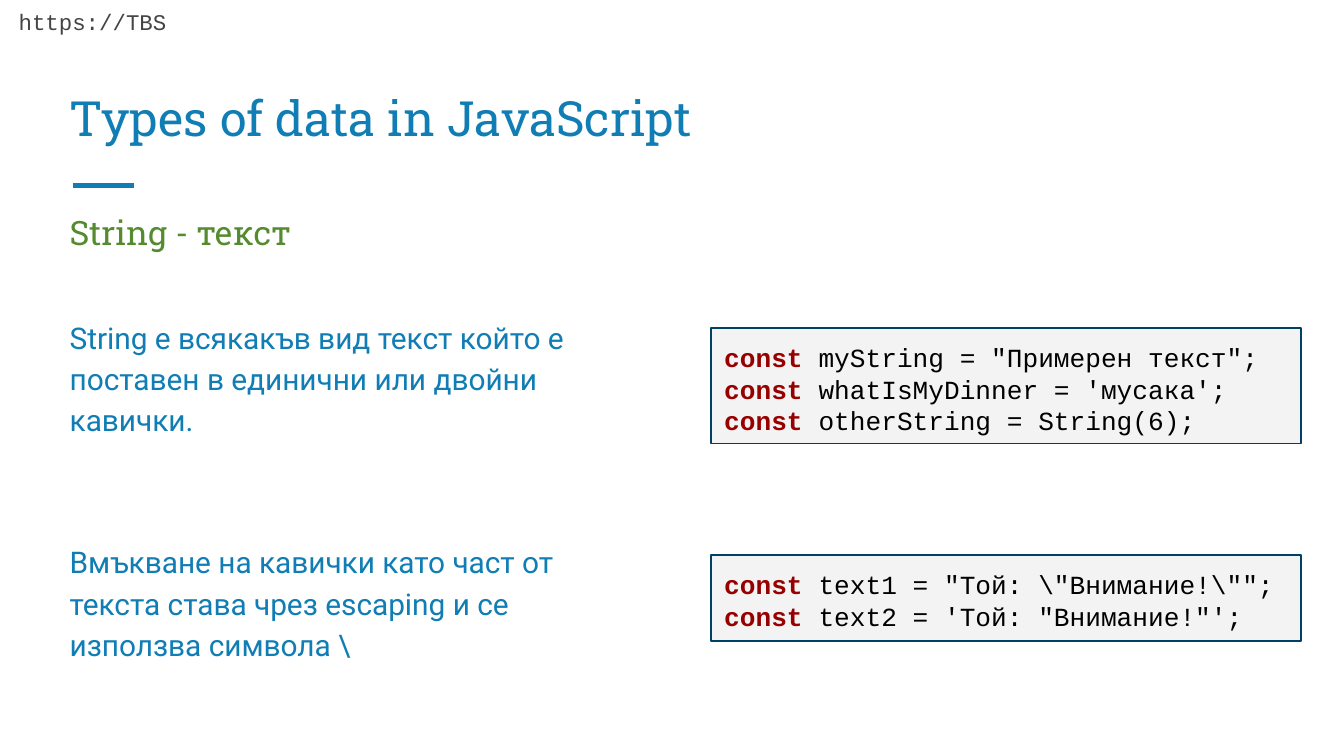
import pptx
import pptx.util
import pptx.dml.color
import pptx.enum.shapes
import pptx.enum.text
import pptx.oxml.ns
import lxml.etree

Inches = pptx.util.Inches
Pt = pptx.util.Pt
RGBColor = pptx.dml.color.RGBColor
Anchor = pptx.enum.text.MSO_ANCHOR

BLUE = RGBColor(0x10, 0x7D, 0xB4)
GREEN = RGBColor(0x55, 0x8B, 0x2F)
GREY = RGBColor(0x44, 0x44, 0x44)
PALE = RGBColor(0xF3, 0xF3, 0xF3)
NAVY = RGBColor(0x00, 0x40, 0x65)
RED = RGBColor(0x98, 0x00, 0x00)
BLACK = RGBColor(0, 0, 0)

FRAME = {
    "word_wrap": True,
    "margin_left": Inches(0.1),
    "margin_right": Inches(0.1),
    "margin_top": Inches(0.1),
    "margin_bottom": Inches(0.1),
}


def put(item, form):
    for key, value in form.items():
        setattr(item, key, value)


def write(para, text, color, form):
    run = para.add_run()
    run.text = text
    put(run.font, form)
    run.font.color.rgb = color


deck = pptx.Presentation()
put(deck, {"slide_width": Inches(10), "slide_height": Inches(10 * 9 / 16)})
slide = deck.slides.add_slide(deck.slide_layouts[6])

rule = slide.shapes.add_connector(
    pptx.enum.shapes.MSO_CONNECTOR.STRAIGHT,
    Inches(0.54), Inches(1.38), Inches(1), Inches(1.38))
rule.line.color.rgb = BLUE
rule.line.width = Pt(3)
lxml.etree.SubElement(rule._element.spPr, pptx.oxml.ns.qn("a:effectLst"))

texts = [
    ((0.04, -0.04, 3.04, 0.38), "Courier New", 12, GREY, Anchor.TOP, {},
     ["https://TBS"]),
    ((0.42, 0.44, 9.15, 0.75), "Roboto Slab", 26, BLUE, Anchor.BOTTOM, {},
     ["Types of data in JavaScript"]),
    ((0.42, 1.48, 9.15, 0.5), "Roboto Slab", 18, GREEN, Anchor.TOP, {},
     ["String - текст"]),
    ((0.42, 2.24, 4.39, 2.94), "Roboto", 16, BLUE, Anchor.TOP,
     {"line_spacing": 1.15},
     ["String e всякакъв вид текст който е поставен в единични или двойни кавички.",
      "Вмъкване на кавички като част от текста става чрез escaping и се използва символа \\"]),
]
for place, face, size, color, anchor, form, lines in texts:
    frame = slide.shapes.add_textbox(*map(Inches, place)).text_frame
    put(frame, FRAME)
    frame.vertical_anchor = anchor
    for i, line in enumerate(lines):
        para = frame.add_paragraph() if i else frame.paragraphs[0]
        put(para, form)
        if i:
            para.space_before = Pt(54)
        write(para, line, color, {"name": face, "size": Pt(size)})

codes = [
    (2.44, 0.86, ["myString = \"Примерен текст\";",
                  "whatIsMyDinner = 'мусака';",
                  "otherString = String(6);"]),
    (4.13, 0.64, ["text1 = \"Той: \\\"Внимание!\\\"\";",
                  "text2 = 'Той: \"Внимание!\"';"]),
]
CODE = {"name": "Courier New", "size": Pt(14)}
for top, height, lines in codes:
    box = slide.shapes.add_shape(
        pptx.enum.shapes.MSO_SHAPE.RECTANGLE,
        Inches(5.29), Inches(top), Inches(4.39), Inches(height))
    box.shadow.inherit = False
    box.fill.solid()
    box.fill.fore_color.rgb = PALE
    box.line.color.rgb = NAVY
    box.line.width = Pt(0.75)
    put(box.text_frame, FRAME)
    box.text_frame.vertical_anchor = Anchor.TOP
    para = box.text_frame.paragraphs[0]
    put(para, {"alignment": pptx.enum.text.PP_ALIGN.LEFT,
               "line_spacing": Pt(16.9)})
    for i, line in enumerate(lines):
        if i:
            para.add_line_break()
        write(para, "const", RED, {**CODE, "bold": True})
        write(para, " " + line, BLACK, {**CODE, "bold": False})

deck.save("out.pptx")
